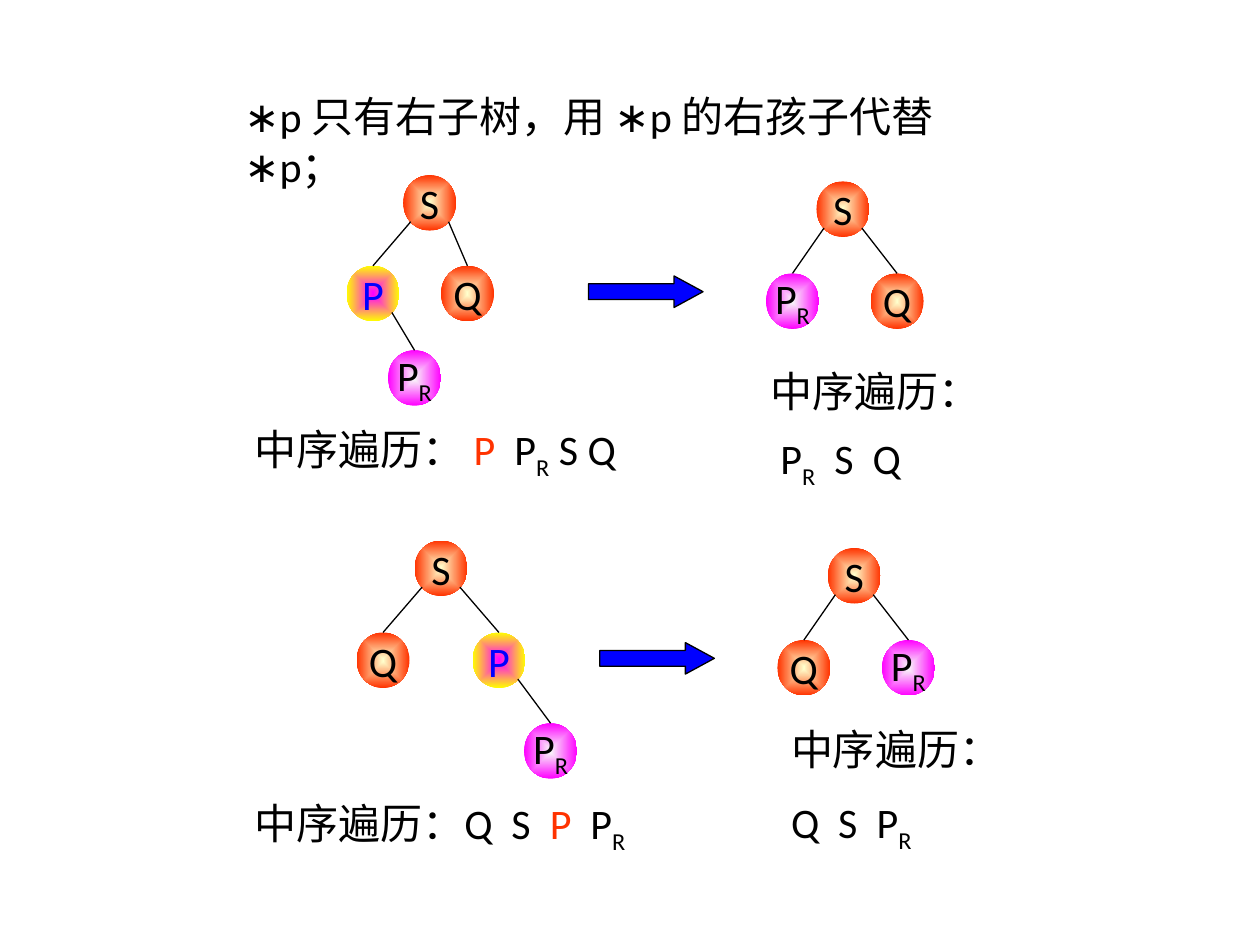
from dataclasses import dataclass

from lxml.etree import SubElement
from pptx import Presentation
from pptx.dml.color import RGBColor as RGB
from pptx.enum.shapes import MSO_CONNECTOR as Line, MSO_SHAPE as Shape
from pptx.enum.text import MSO_ANCHOR as Anchor, PP_ALIGN as Align
from pptx.oxml.ns import qn
from pptx.util import Inches, Pt


@dataclass(frozen=True)
class Theme:
    font: str = "Calibri"
    size: int = 24
    rule: float = 0.75
    ink: str = "000000"
    blue: str = "0000FF"
    red: str = "FF3300"
    # Node fills, from centre to rim
    plain: tuple = ("FFFFCC", "FF3300")
    gone: tuple = ("FF00FF", "FFFF00")
    heir: tuple = ("F8F8F8", "FF00FF")


T = Theme()
NODE_W, NODE_H = 0.42, 0.44
SUB, RED = "sub", "red"
PR = ["P", ("R", SUB)]
LABEL = "中序遍历："
# Node name: fill, text colour, text runs
NODES = {
    "S": (T.plain, T.ink, ["S"]),
    "Q": (T.plain, T.ink, ["Q"]),
    "P": (T.gone, T.blue, ["P"]),
    "PR": (T.heir, T.ink, PR),
}


def write(para, runs, color=T.ink):
    """Fill a paragraph; a run is a string or a (string, style) pair."""
    font = para.font
    font.name, font.size = T.font, Pt(T.size)
    font.color.rgb = RGB.from_string(color)
    for item in runs:
        text, style = (item, None) if isinstance(item, str) else item
        run = para.add_run()
        run.text = text
        if style == SUB:
            run.font._element.set("baseline", "-25000")
        elif style == RED:
            run.font.color.rgb = RGB.from_string(T.red)


def add_text(slide, box, lines, wrap=False, anchor=Anchor.MIDDLE, gap=None):
    """Text box; gap is the line spacing of the lines after the first."""
    frame = slide.shapes.add_textbox(*map(Inches, box)).text_frame
    frame.word_wrap, frame.vertical_anchor = wrap, anchor
    for i, runs in enumerate(lines):
        para = frame.add_paragraph() if i else frame.paragraphs[0]
        if i and gap:
            para.line_spacing = gap
        write(para, runs)


def add_node(group, name, left, top):
    fill, color, runs = NODES[name]
    node = group.shapes.add_shape(
        Shape.OVAL, *map(Inches, (left, top, NODE_W, NODE_H)))
    node.shadow.inherit = False
    node.line.fill.background()
    # Radial gradient
    node.fill.gradient()
    for stop, tint in zip(node.fill.gradient_stops, fill):
        stop.color.rgb = RGB.from_string(tint)
    grad = node.element.spPr.find(qn("a:gradFill"))
    grad.remove(grad.find(qn("a:lin")))
    path = SubElement(grad, qn("a:path"), path="shape")
    SubElement(path, qn("a:fillToRect"),
               {side: "50000" for side in "ltrb"})
    # Label
    frame = node.text_frame
    frame.word_wrap, frame.vertical_anchor = False, Anchor.MIDDLE
    para = frame.paragraphs[0]
    para.alignment = Align.CENTER
    write(para, runs, color)
    return node


def add_edge(group, start, child):
    """Line from a point on the parent's rim to the top of the child."""
    x, y = map(Inches, start)
    edge = group.shapes.add_connector(Line.STRAIGHT, x, y, x, y)
    edge.end_connect(child, 0)
    edge.line.color.rgb = RGB.from_string(T.ink)
    edge.line.width = Pt(T.rule)
    SubElement(edge.element.spPr, qn("a:effectLst"))


def add_tree(slide, left, top, spots, edges):
    """spots: node name to offset in the box; edges: parent, child pairs."""
    group = slide.shapes.add_group_shape()
    nodes = {name: add_node(group, name, left + dx, top + dy)
             for name, (dx, dy) in spots.items()}
    for parent, child in edges:
        (px, py), (cx, _) = spots[parent], spots[child]
        rim = 0.06 if cx < px else 0.36
        add_edge(group, (left + px + rim, top + py + 0.37), nodes[child])


def add_arrow(slide, left, top):
    arrow = slide.shapes.add_shape(
        Shape.RIGHT_ARROW, *map(Inches, (left, top, 0.91, 0.25)))
    arrow.adjustments[1] = 0.92
    arrow.shadow.inherit = False
    arrow.fill.solid()
    arrow.fill.fore_color.rgb = RGB.from_string(T.blue)
    arrow.line.color.rgb = RGB.from_string(T.ink)
    arrow.line.width = Pt(T.rule)


def add_after(slide, left, top, first, last):
    """Tree once the node is replaced."""
    spots = {"S": (0.4, 0), first: (0, 0.73), last: (0.83, 0.73)}
    add_tree(slide, left, top, spots, [("S", first), ("S", last)])


def add_upper(slide, left, top):
    """Case 1: the node is a left child."""
    spots = {"S": (0.83, 0), "P": (0.38, 0.72),
             "PR": (0.71, 1.39), "Q": (1.13, 0.72)}
    add_tree(slide, left + 0.45, top, spots,
             [("S", "P"), ("S", "Q"), ("P", "PR")])
    add_arrow(slide, left + 2.75, top + 0.8)
    add_after(slide, left + 4.16, top + 0.05, "PR", "Q")
    add_text(slide, (left, top + 1.95, 3.19, 0.5),
             [[LABEL + " ", ("P", RED), "  P", ("R", SUB), " S Q"]])
    add_text(slide, (left + 4.1, top + 1.51, 1.96, 0.99),
             [[LABEL], [" P", ("R", SUB), "  S  Q"]], gap=1.3)


def add_lower(slide, left, top):
    """Case 2: the node is a right child."""
    spots = {"S": (0.46, 0), "P": (0.92, 0.73),
             "PR": (1.33, 1.45), "Q": (0, 0.73)}
    add_tree(slide, left + 0.91, top, spots,
             [("S", "Q"), ("S", "P"), ("P", "PR")])
    add_arrow(slide, left + 2.84, top + 0.81)
    add_after(slide, left + 4.25, top + 0.06, "Q", "PR")
    add_text(slide, (left, top + 2.02, 3.24, 0.5),
             [[LABEL + "Q  S  ", ("P", RED), "  P", ("R", SUB)]])
    add_text(slide, (left + 4.26, top + 1.46, 1.96, 1.02),
             [[LABEL], ["Q  S  P", ("R", SUB)]], gap=1.4)


def main():
    deck = Presentation()
    deck.slide_width, deck.slide_height = Inches(10), Inches(7.5)
    slide = deck.slides.add_slide(deck.slide_layouts[6])
    # Heading
    add_text(slide, (1.84, 0.67, 6.41, 0.5),
             [["∗p 只有右子树，用 ∗p 的右孩子代替 ∗p；"]],
             wrap=True, anchor=Anchor.TOP)
    # Two cases
    add_upper(slide, 1.92, 1.39)
    add_lower(slide, 1.92, 4.29)
    deck.save("out.pptx")


if __name__ == "__main__":
    main()
